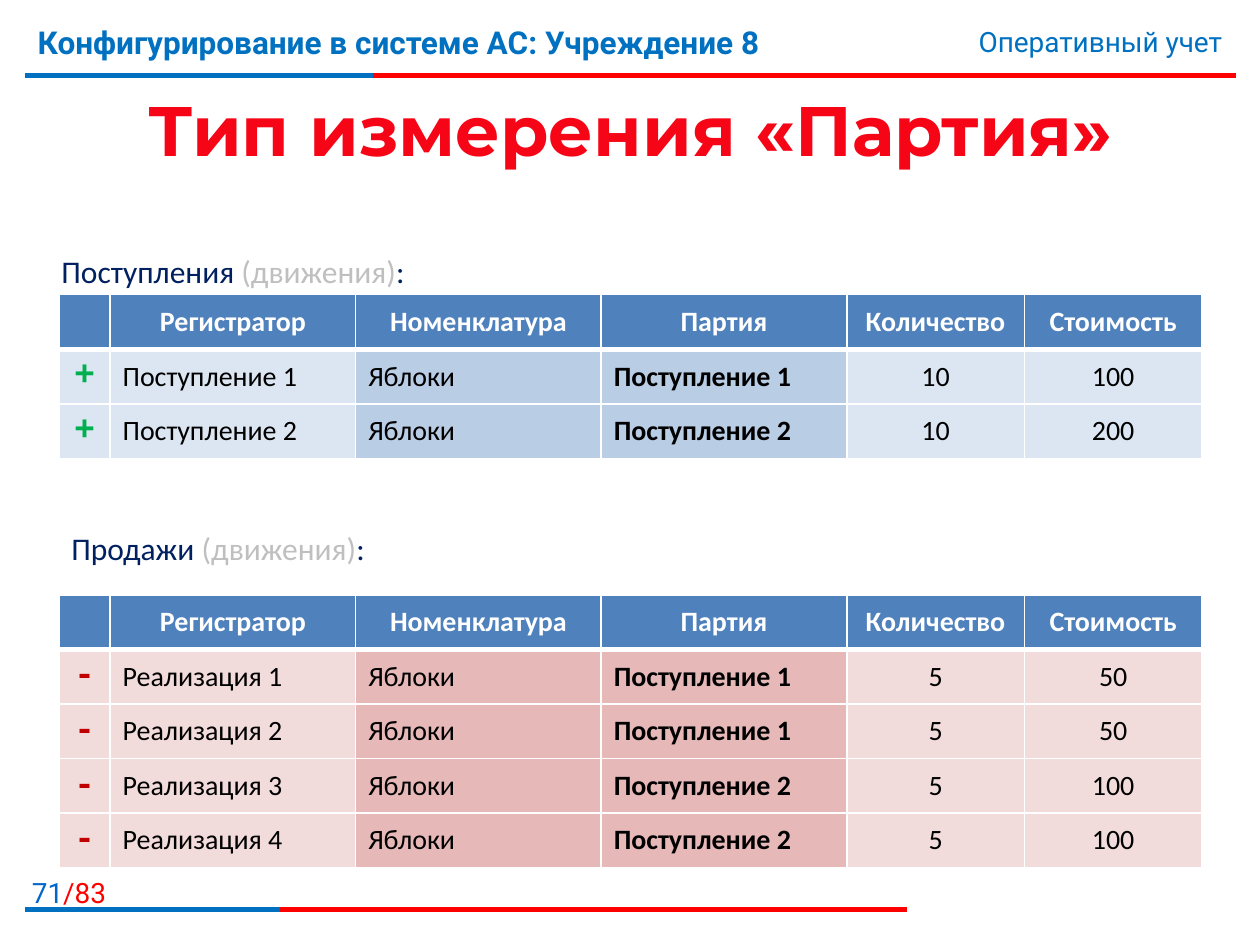
from dataclasses import dataclass

import lxml.etree
import pptx
import pptx.dml.color
import pptx.enum.shapes
import pptx.enum.text
import pptx.oxml.ns
import pptx.util

Cm = pptx.util.Cm
Pt = pptx.util.Pt
ALIGN = pptx.enum.text.PP_ALIGN
MIDDLE = pptx.enum.text.MSO_ANCHOR.MIDDLE
qn = pptx.oxml.ns.qn


@dataclass(frozen=True)
class Theme:
    blue: str = "0070C0"
    page_blue: str = "0066CC"
    red: str = "FF0000"
    title_red: str = "F50516"
    navy: str = "002060"
    gray: str = "BFBFBF"
    white: str = "FFFFFF"
    black: str = "000000"
    header: str = "4F81BD"
    receipt: tuple = ("DCE6F2", "B9CDE5", "00B050")
    sale: tuple = ("F2DCDB", "E6B9B8", "C00000")
    title_size: int = 40
    symbol_size: int = 20
    large_size: int = 18
    body_size: int = 16
    title_font: str = "Montserrat"
    frame_font: str = "Roboto"
    body_font: str = "Calibri"
    symbol_font: str = "Courier New"


THEME = Theme()
COLUMN_WIDTHS = (1.03, 4.95, 4.95, 4.95, 3.58, 3.58)
ROW_HEIGHT = 1.1
TABLE_LEFT = 1.19
HEADERS = ("", "Регистратор", "Номенклатура", "Партия", "Количество", "Стоимость")
KEY_COLUMNS = (2, 3)
CENTERED_COLUMNS = (0, 4, 5)
RECEIPTS = (
    ("+", "Поступление 1", "Яблоки", "Поступление 1", "10", "100"),
    ("+", "Поступление 2", "Яблоки", "Поступление 2", "10", "200"),
)
SALES = (
    ("-", "Реализация 1", "Яблоки", "Поступление 1", "5", "50"),
    ("-", "Реализация 2", "Яблоки", "Поступление 1", "5", "50"),
    ("-", "Реализация 3", "Яблоки", "Поступление 2", "5", "100"),
    ("-", "Реализация 4", "Яблоки", "Поступление 2", "5", "100"),
)


def rgb(color):
    return pptx.dml.color.RGBColor.from_string(color)


def add_run(paragraph, text, font, size, color, bold=False):
    run = paragraph.add_run()
    run.text = text
    run.font.name = font
    run.font.size = Pt(size)
    run.font.bold = bold
    run.font.color.rgb = rgb(color)


def add_text(slide, box, parts, font, size, bold=False, align=ALIGN.LEFT, wrap=True):
    shape = slide.shapes.add_textbox(*map(Cm, box))
    shape.text_frame.word_wrap = wrap
    paragraph = shape.text_frame.paragraphs[0]
    paragraph.alignment = align
    for text, color in parts:
        add_run(paragraph, text, font, size, color, bold)


def add_line(slide, left, right, top, color):
    line = slide.shapes.add_connector(
        pptx.enum.shapes.MSO_CONNECTOR.STRAIGHT, Cm(left), Cm(top), Cm(right), Cm(top)
    )
    line.line.color.rgb = rgb(color)
    line.line.width = Pt(3)
    lxml.etree.SubElement(line._element.spPr, qn("a:effectLst"))


def add_rule(slide, top, middle, right):
    add_line(slide, 0.51, right, top, THEME.red)
    add_line(slide, 0.51, middle, top, THEME.blue)


def add_title(slide, text):
    title = slide.shapes.title
    title.left, title.top, title.width, title.height = map(Cm, (0.58, 1.5, 24.26, 2.18))
    title.text_frame.vertical_anchor = MIDDLE
    paragraph = title.text_frame.paragraphs[0]
    paragraph.alignment = ALIGN.CENTER
    add_run(paragraph, text, THEME.title_font, THEME.title_size, THEME.title_red, True)


def add_caption(slide, left, top, width, text):
    parts = ((text + " ", THEME.navy), ("(движения)", THEME.gray), (":", THEME.navy))
    add_text(slide, (left, top, width, 1.02), parts, THEME.body_font, THEME.large_size, wrap=False)


def set_borders(cell, top, bottom):
    properties = cell._tc.get_or_add_tcPr()
    for tag, width in (("a:lnL", 1), ("a:lnR", 1), ("a:lnT", top), ("a:lnB", bottom)):
        border = lxml.etree.SubElement(properties, qn(tag), w=str(Pt(width)))
        fill = lxml.etree.SubElement(border, qn("a:solidFill"))
        lxml.etree.SubElement(fill, qn("a:srgbClr"), val=THEME.white)


def style_cell(cell, row, column, text, colors):
    plain, key, accent = colors
    is_header = row == 0
    is_symbol = column == 0 and not is_header
    set_borders(cell, 3 if row == 1 else 1, 3 if is_header else 1)
    cell.fill.solid()
    body_fill = key if column in KEY_COLUMNS else plain
    cell.fill.fore_color.rgb = rgb(THEME.header if is_header else body_fill)
    cell.vertical_anchor = MIDDLE
    if not text:
        return
    paragraph = cell.text_frame.paragraphs[0]
    centered = is_header or column in CENTERED_COLUMNS
    paragraph.alignment = ALIGN.CENTER if centered else ALIGN.LEFT
    if is_symbol:
        cell.margin_left = cell.margin_right = cell.margin_top = cell.margin_bottom = 0
        add_run(paragraph, text, THEME.symbol_font, THEME.symbol_size, accent, True)
    else:
        color = THEME.white if is_header else THEME.black
        bold = is_header or column == 3
        add_run(paragraph, text, THEME.body_font, THEME.body_size, color, bold)


def add_movements(slide, top, records, colors):
    rows = (HEADERS, *records)
    table = slide.shapes.add_table(
        len(rows), len(HEADERS), Cm(TABLE_LEFT), Cm(top),
        Cm(sum(COLUMN_WIDTHS)), Cm(ROW_HEIGHT * len(rows)),
    ).table
    for column, width in zip(table.columns, COLUMN_WIDTHS):
        column.width = Cm(width)
    for row_index, row in enumerate(rows):
        table.rows[row_index].height = Cm(ROW_HEIGHT)
        for column_index, text in enumerate(row):
            cell = table.cell(row_index, column_index)
            style_cell(cell, row_index, column_index, text, colors)


def main():
    presentation = pptx.Presentation()
    presentation.slide_width = Cm(25.4)
    presentation.slide_height = Cm(19.05)
    slide = presentation.slides.add_slide(presentation.slide_layouts[5])

    add_rule(slide, 1.52, 7.52, 24.92)
    add_rule(slide, 18.34, 5.64, 18.29)
    add_text(slide, (0.51, 0.33, 18.8, 1.57),
             (("Конфигурирование в системе АС: Учреждение 8", THEME.blue),),
             THEME.frame_font, THEME.large_size, bold=True)
    add_text(slide, (15.09, 0.38, 9.8, 0.94), (("Оперативный учет", THEME.blue),),
             THEME.frame_font, THEME.body_size, align=ALIGN.RIGHT)
    add_text(slide, (0, 17.53, 2.39, 0.81), (("71", THEME.page_blue), ("/83", THEME.red)),
             THEME.frame_font, THEME.body_size, align=ALIGN.RIGHT)

    add_title(slide, "Тип измерения «Партия»")
    add_caption(slide, 0.99, 4.95, 7.49, "Поступления")
    add_movements(slide, 5.94, RECEIPTS, THEME.receipt)
    add_caption(slide, 1.19, 10.54, 6.5, "Продажи")
    add_movements(slide, 11.99, SALES, THEME.sale)
    presentation.save("out.pptx")


if __name__ == "__main__":
    main()
